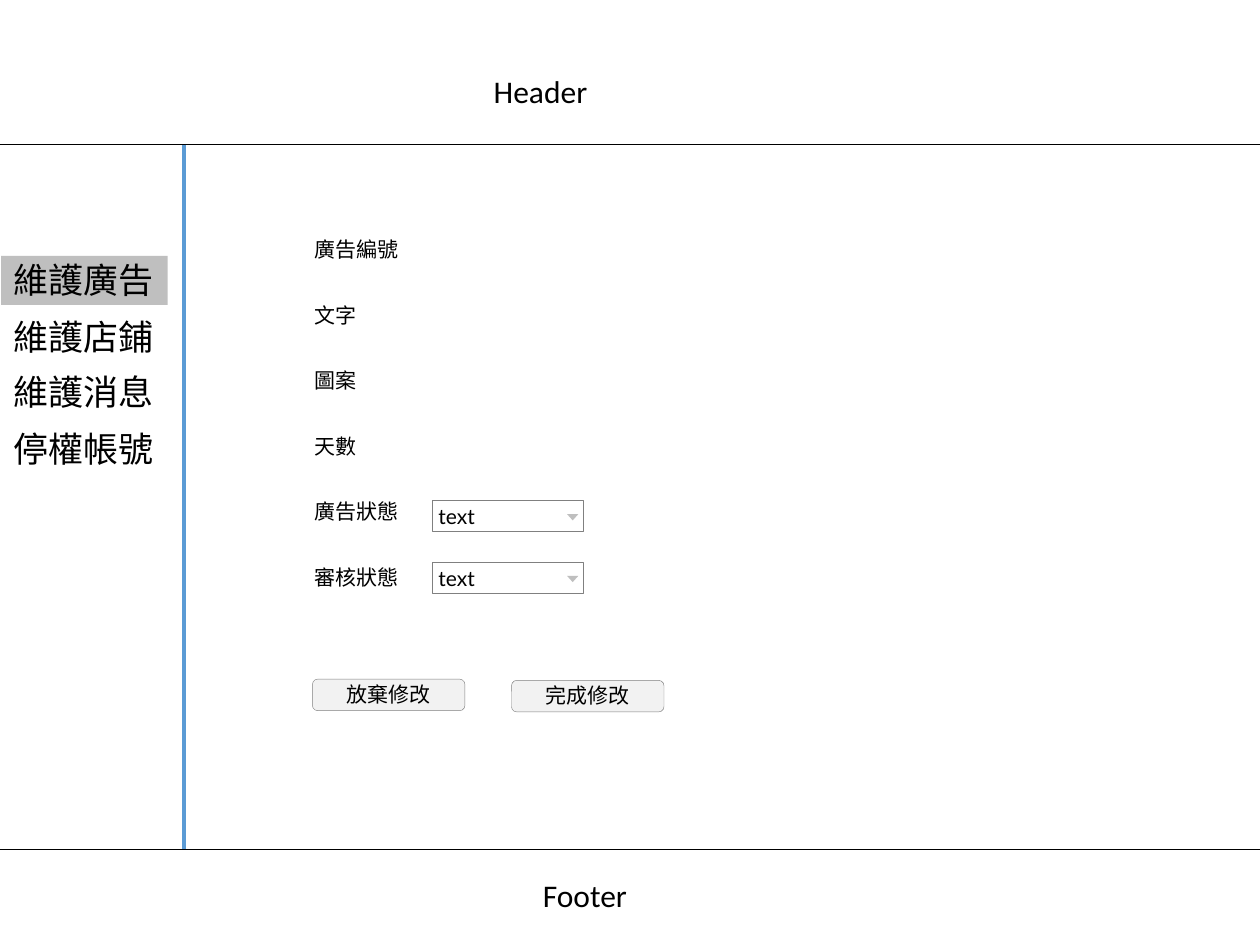
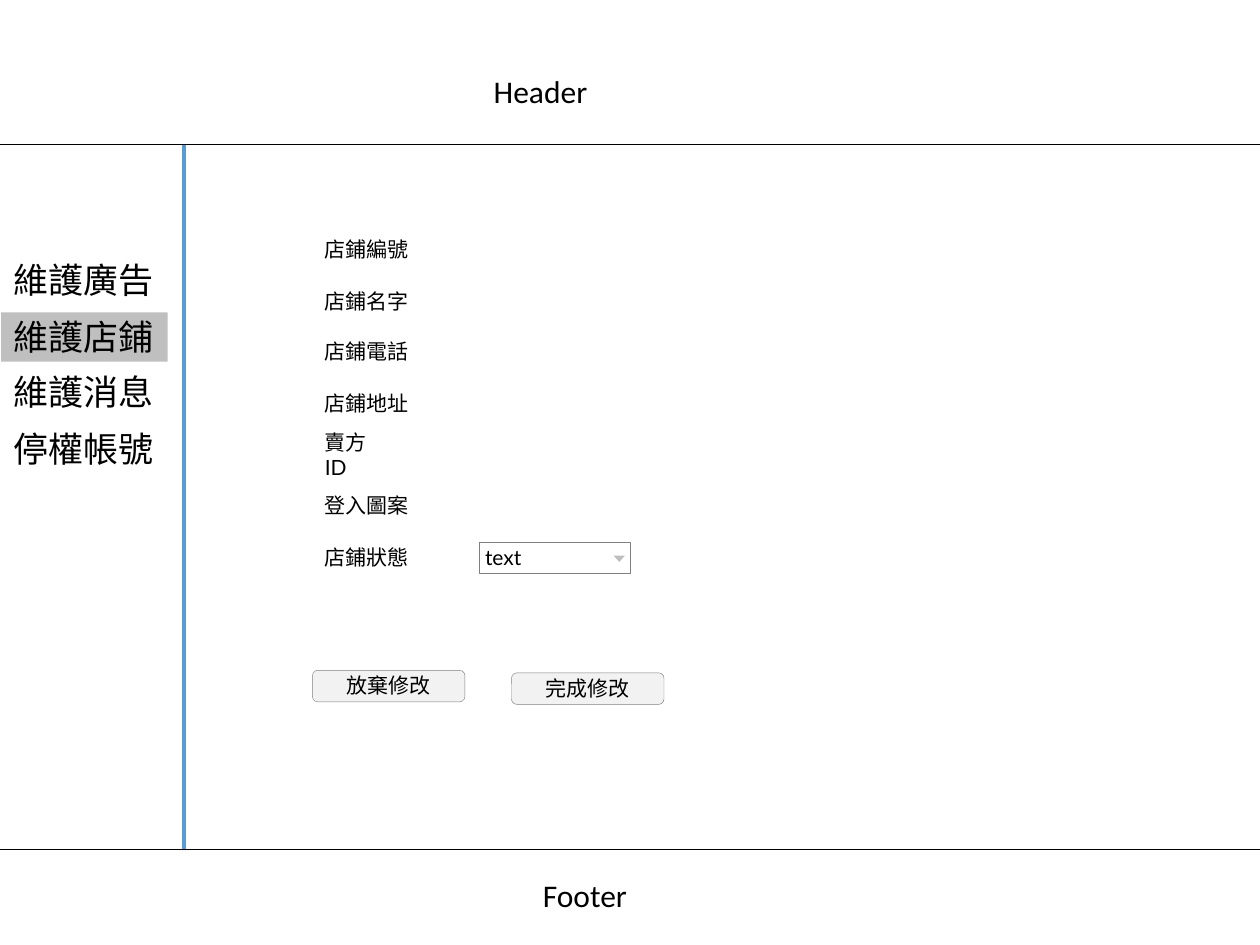
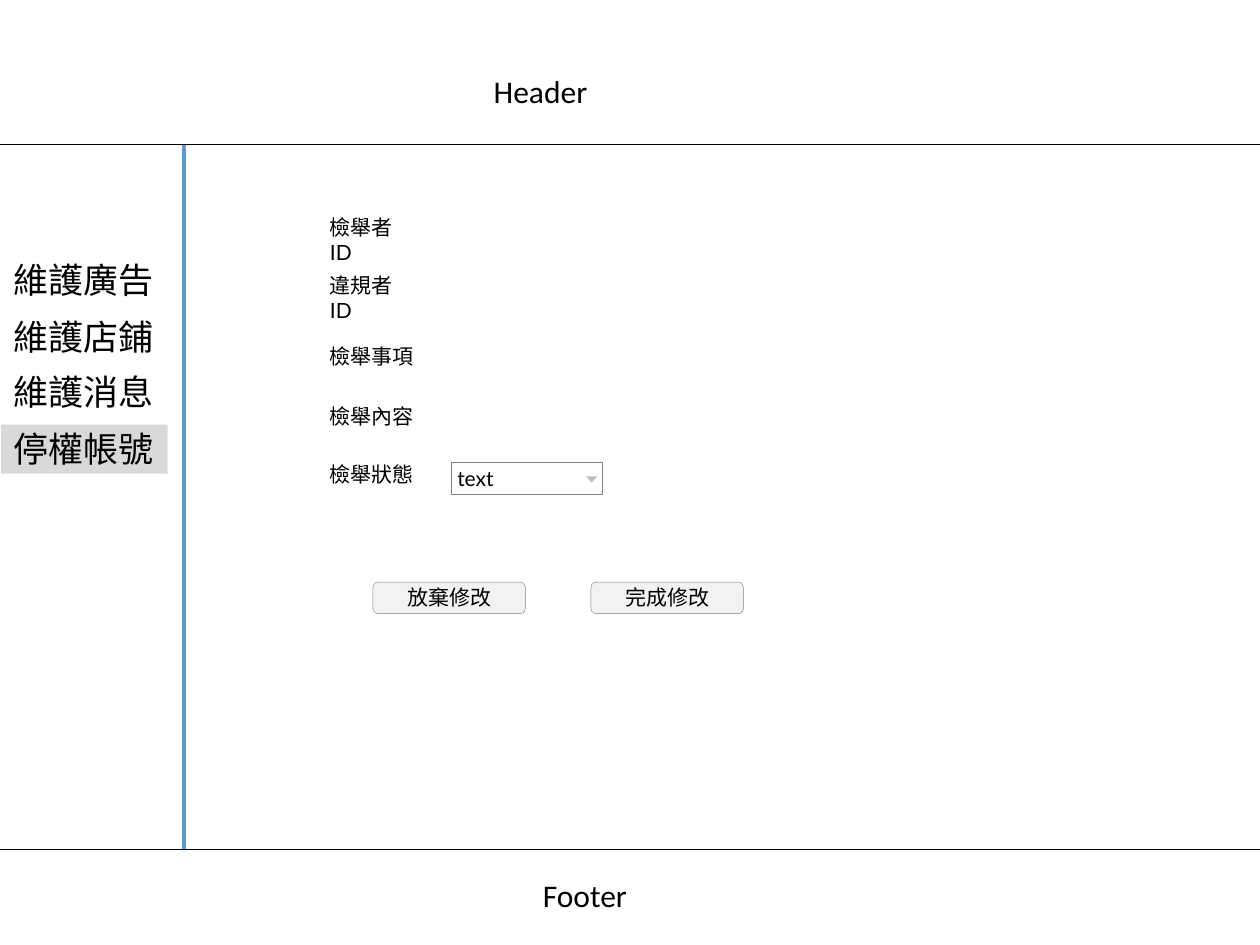
import pptx
import pptx.util
import pptx.dml.color
import pptx.enum.shapes
import pptx.enum.text
import lxml.etree

PX = 9144  # EMU per px, 100 px to the inch
WIDE, HIGH = 1000, 750
TOP, BASE, SIDE = 115, 674, 146  # header line, footer line, menu line
INK = {"text": "000000", "rule": "000000", "side": "5B9BD5", "edge": "808080",
       "field": "FFFFFF", "arrow": "BFBFBF", "button": "F2F2F2",
       "pick": "BFBFBF", "pale": "D9D9D9"}
MENU = ["維護廣告", "維護店鋪", "維護消息", "停權帳號"]
FORM = pptx.enum.shapes.MSO_SHAPE
ALIGN = pptx.enum.text.PP_ALIGN
SNUG = (10, 2, 10, 3)

PAGES = [
    {"pick": 0, "tint": "pick", "left": 240, "span": (186, 446),
     "labels": ["廣告編號", "文字", "圖案", "天數", "廣告狀態", "審核狀態"],
     "drops": [(343, 397), (343, 446)],
     "buttons": [("放棄修改", 248, 539), ("完成修改", 406, 540)]},
    {"pick": 1, "tint": "pick", "left": 248, "span": (186, 430),
     "labels": ["店鋪編號", "店鋪名字", "店鋪電話", "店鋪地址", "賣方ID",
                "登入圖案", "店鋪狀態"],
     "drops": [(380, 430)],
     "buttons": [("放棄修改", 248, 532), ("完成修改", 406, 534)]},
    {"pick": 3, "tint": "pale", "left": 252, "span": (178, 364),
     "labels": ["檢舉者ID", "違規者ID", "檢舉事項", "檢舉內容", "檢舉狀態"],
     "drops": [(358, 367)],
     "buttons": [("放棄修改", 296, 462), ("完成修改", 469, 462)]},
]


def emu(*nums):
    return [pptx.util.Emu(n * PX) for n in nums]


def rgb(name):
    return pptx.dml.color.RGBColor.from_string(INK[name])


def rows(first, last, count):
    return [round(first + (last - first) * i / (count - 1)) for i in range(count)]


def write(shape, text, size, pad, font="Lato", wrap=True, align=ALIGN.LEFT):
    frame = shape.text_frame
    frame.word_wrap = wrap
    frame.vertical_anchor = pptx.enum.text.MSO_ANCHOR.MIDDLE
    (frame.margin_left, frame.margin_top,
     frame.margin_right, frame.margin_bottom) = emu(*pad)
    para = frame.paragraphs[0]
    para.text = text
    para.alignment = align
    para.font.size = pptx.util.Pt(size)
    para.font.name = font
    para.font.color.rgb = rgb("text")


def block(shapes, form, box, fill, edge=None):
    shape = shapes.add_shape(form, *emu(*box))
    shape.shadow.inherit = False
    shape.fill.solid()
    shape.fill.fore_color.rgb = rgb(fill)
    if edge:
        shape.line.color.rgb = rgb(edge)
        shape.line.width = pptx.util.Pt(0.25)
    else:
        shape.line.fill.background()
    return shape


def rule(shapes, ends, color, width):
    line = shapes.add_connector(pptx.enum.shapes.MSO_CONNECTOR.STRAIGHT, *emu(*ends))
    line.line.color.rgb = rgb(color)
    line.line.width = pptx.util.Pt(width)
    space = "{http://schemas.openxmlformats.org/drawingml/2006/main}"
    lxml.etree.SubElement(line._element.spPr, space + "effectLst")


def frame(shapes):
    # Header, footer and menu border
    for y in (TOP, BASE):
        rule(shapes, (0, y, WIDE, y), "rule", 0.5)
    rule(shapes, (SIDE, TOP, SIDE, BASE), "side", 2.25)
    for text, box in (("Header", (382, 52, 95, 40)), ("Footer", (421, 690, 88, 40))):
        write(shapes.add_textbox(*emu(*box)), text, 18, (10, 5, 10, 5),
              "Calibri", wrap=False)


def menu(shapes, left, top, pick, tint):
    for i, (text, y) in enumerate(zip(MENU, rows(top, top + 134, len(MENU)))):
        box = (left, y, 132, 39)
        if i == pick:
            item = block(shapes, FORM.RECTANGLE, box, tint)
        else:
            item = shapes.add_textbox(*emu(*box))
        write(item, text, 20, SNUG, wrap=False)


def label(shapes, left, top, text):
    # Full-width signs take 17 px, Latin letters 7
    width = 20 + sum(7 if sign.isascii() else 17 for sign in text)
    write(shapes.add_textbox(*emu(left, top, width, 25)), text, 12, SNUG)


def drop(shapes, left, top):
    parts = shapes.add_group_shape().shapes
    field = block(parts, FORM.RECTANGLE, (left, top, 120, 25), "field", "edge")
    write(field, "text", 12, (5, 5, 5, 5))
    arrow = block(parts, FORM.ISOSCELES_TRIANGLE, (left + 107, top + 11, 9, 5), "arrow")
    arrow.rotation = 180


def button(shapes, text, left, top):
    shape = block(shapes, FORM.ROUNDED_RECTANGLE, (left, top, 121, 25), "button", "edge")
    write(shape, text, 12, (10, 0, 10, 1), align=ALIGN.CENTER)


def page(shapes, data):
    frame(shapes)
    menu(shapes, 1, 203, data["pick"], data["tint"])
    names = data["labels"]
    for text, y in zip(names, rows(*data["span"], len(names))):
        label(shapes, data["left"], y, text)
    for spot in data["drops"]:
        drop(shapes, *spot)
    for item in data["buttons"]:
        button(shapes, *item)


def main():
    deck = pptx.Presentation()
    deck.slide_width, deck.slide_height = emu(WIDE, HIGH)
    for data in PAGES:
        page(deck.slides.add_slide(deck.slide_layouts[6]).shapes, data)
    deck.save("out.pptx")


if __name__ == "__main__":
    main()
